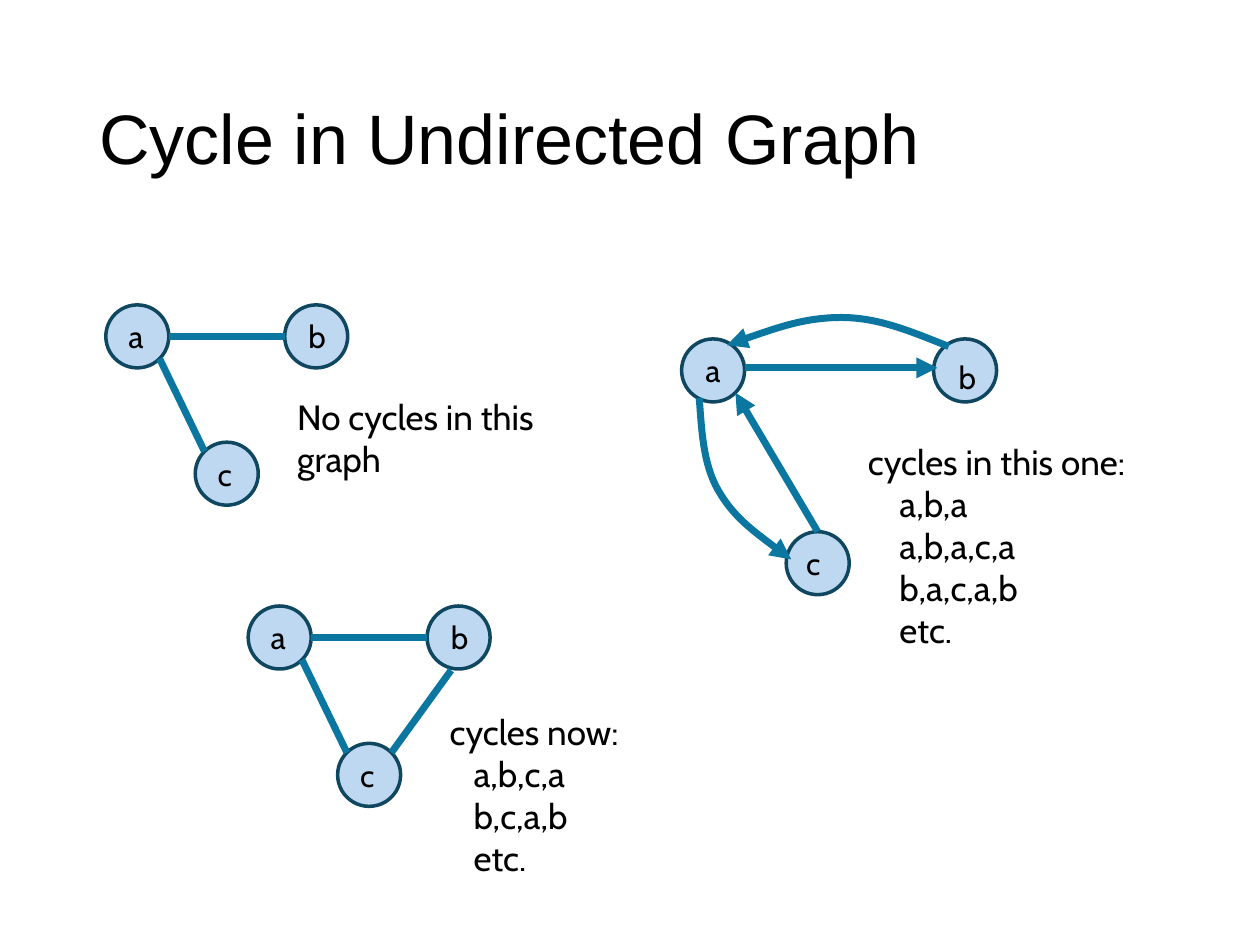
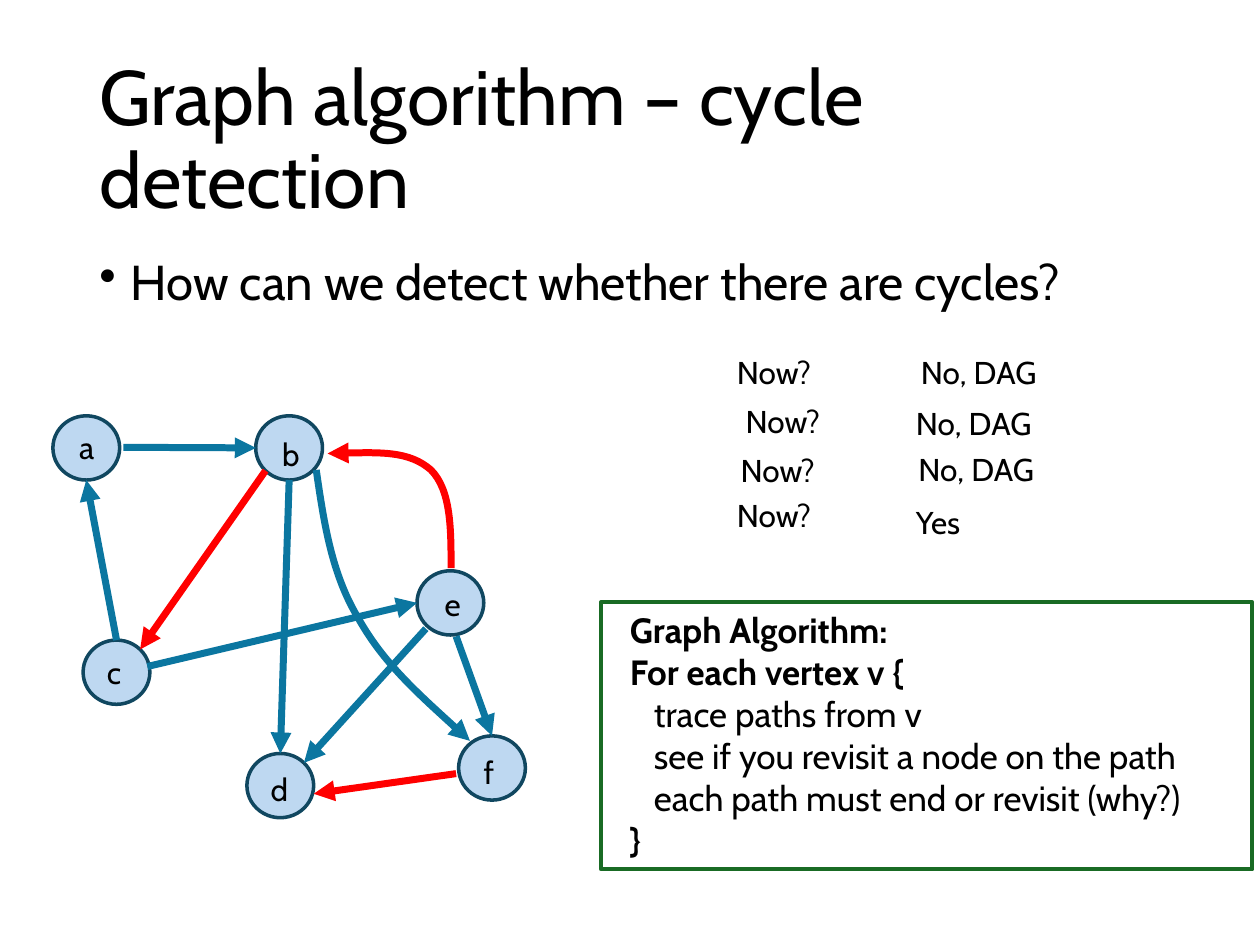
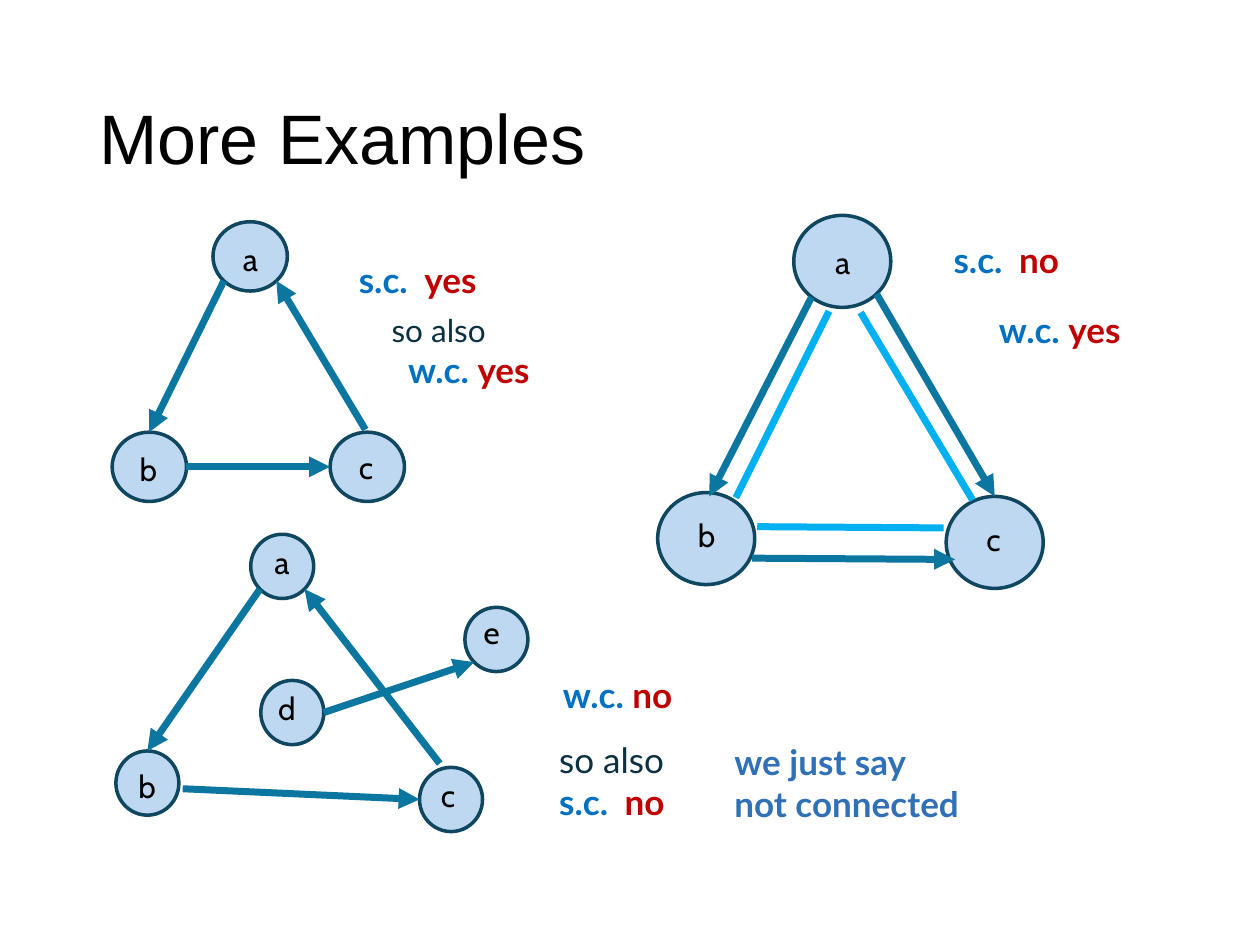
from dataclasses import dataclass

from lxml import etree
from pptx import Presentation
from pptx.dml.color import RGBColor
from pptx.enum.shapes import MSO_CONNECTOR, MSO_SHAPE
from pptx.enum.text import MSO_ANCHOR, MSO_AUTO_SIZE, PP_ALIGN
from pptx.oxml.ns import qn
from pptx.util import Emu, Pt

PX = 9144  # one hundredth of an inch
STRAIGHT = MSO_CONNECTOR.STRAIGHT
OVAL, RECTANGLE = MSO_SHAPE.OVAL, MSO_SHAPE.RECTANGLE
TOP, MIDDLE = MSO_ANCHOR.TOP, MSO_ANCHOR.MIDDLE
GROW, LEFT = MSO_AUTO_SIZE.SHAPE_TO_FIT_TEXT, PP_ALIGN.LEFT


@dataclass(frozen=True)
class Theme:
    black: str = "000000"
    node: str = "71AAE0"
    node_opacity: int = 45000
    outline: str = "104760"
    edge: str = "0B76A0"
    back_edge: str = "FF0000"
    undirected: str = "00B0F0"
    frame: str = "196B24"
    term: str = "0070C0"
    verdict: str = "C00000"
    aside: str = "0B3041"
    remark: str = "2F70B7"
    plain: str = "Arial"
    main: str = "Cabin"
    accent: str = "Lato"
    title: int = 40
    large_title: int = 44
    bullet: int = 28
    body: int = 20
    label: int = 18
    edge_width: int = 4
    outline_width: int = 2
    frame_width: float = 2.25


THEME = Theme()


@dataclass
class Line:
    """One paragraph: spans are (text, colour) pairs; lengths are in px."""
    spans: list
    font: str = THEME.main
    size: int = THEME.body
    bold: bool = False
    indent: int = 0
    tab: int = 0
    bullet: str = ""
    spacing: float = 1.0
    after: int = 0


@dataclass
class Edge:
    """Ends are a node's site, such as "a br", or a point in the graph's box."""
    start: object
    end: object
    colour: str = THEME.edge
    arrow: bool = True


@dataclass
class Curve:
    """A start point followed by the three points of each cubic segment."""
    points: list
    colour: str = THEME.edge


def px(*lengths):
    return [Emu(round(length * PX)) for length in lengths]


def rgb(colour):
    return RGBColor.from_string(colour)


def line(text, **style):
    return Line([(text, THEME.black)], **style)


def write(frame, lines):
    for index, item in enumerate(lines):
        para = frame.paragraphs[0] if index == 0 else frame.add_paragraph()
        para.alignment = LEFT
        para.line_spacing = item.spacing
        if item.after:
            para.space_after = Pt(item.after)
        props = para._p.get_or_add_pPr()
        if item.indent:
            props.set("marL", str(item.indent * PX))
        if item.bullet:
            props.set("indent", str(-item.indent * PX))
            etree.SubElement(props, qn("a:buChar"), char=item.bullet)
        if item.tab:
            tabs = etree.SubElement(props, qn("a:tabLst"))
            etree.SubElement(tabs, qn("a:tab"), pos=str(item.tab * PX), algn="l")
        para.font.name = item.font
        para.font.size = Pt(item.size)
        para.font.bold = item.bold
        if len(item.spans) == 1:
            para.font.color.rgb = rgb(item.spans[0][1])
        for text, colour in item.spans:
            span = para.add_run()
            span.text = text
            if len(item.spans) > 1:
                span.font.color.rgb = rgb(colour)


def add_text(shapes, box, lines, wrap=True, anchor=TOP, grow=True):
    frame = shapes.add_textbox(*px(*box)).text_frame
    frame.word_wrap = wrap
    frame.vertical_anchor = anchor
    if grow:
        frame.auto_size = GROW
    write(frame, lines)


def add_title(page, text, font=THEME.plain, size=THEME.title):
    add_text(page.shapes, (69, 40, 862, 145),
             [line(text, font=font, size=size, spacing=0.9)],
             anchor=MIDDLE, grow=False)


def style_edge(shape, colour, arrow):
    shape.line.color.rgb = rgb(colour)
    shape.line.width = Pt(THEME.edge_width)
    if arrow:
        etree.SubElement(shape.line._get_or_add_ln(), qn("a:tailEnd"), type="triangle")


def add_node(shapes, box):
    node = shapes.add_shape(OVAL, *px(*box))
    node.shadow.inherit = False
    node.fill.solid()
    node.fill.fore_color.rgb = rgb(THEME.node)
    tint = node._element.spPr.find(qn("a:solidFill"))[0]
    etree.SubElement(tint, qn("a:alpha"), val=str(THEME.node_opacity))
    node.line.color.rgb = rgb(THEME.outline)
    node.line.width = Pt(THEME.outline_width)


def add_edge(shapes, start, end, edge):
    link = shapes.add_connector(STRAIGHT, *px(*start, *end))
    style_edge(link, edge.colour, edge.arrow)
    etree.SubElement(link._element.spPr, qn("a:effectLst"))


def add_curve(shapes, points, colour):
    """Draw the points as a freeform, then join each three into a cubic."""
    builder = shapes.build_freeform(*points[0], scale=PX)
    builder.add_line_segments(points[1:], close=False)
    curve = builder.convert_to_shape()
    curve.shadow.inherit = False
    curve.fill.background()
    style_edge(curve, colour, True)
    path = next(curve._element.iter(qn("a:path")))
    steps = path.findall(qn("a:lnTo"))
    for first in range(0, len(steps), 3):
        cubic = etree.SubElement(path, qn("a:cubicBezTo"))
        for step in steps[first:first + 3]:
            cubic.append(step[0])
            path.remove(step)


def site_point(box, site):
    """Point on an ellipse: left, right, top, bottom or a corner such as tl."""
    left, top, width, height = box
    diagonal = 0.5 ** 0.5
    across, down = {
        "left": (-1, 0), "right": (1, 0), "top": (0, -1), "bottom": (0, 1),
        "tl": (-diagonal, -diagonal), "tr": (diagonal, -diagonal),
        "bl": (-diagonal, diagonal), "br": (diagonal, diagonal),
    }[site]
    return left + width / 2 * (1 + across), top + height / 2 * (1 + down)


def add_graph(page, origin, size, nodes, edges, label_width=40):
    """Nodes map a name to its left, top and the offset of its label."""
    shapes = page.shapes.add_group_shape().shapes
    left, top = origin
    boxes = {name: (left + x, top + y, *size) for name, (x, y, _, _) in nodes.items()}

    def locate(end):
        if isinstance(end, str):
            name, site = end.split()
            return site_point(boxes[name], site)
        return left + end[0], top + end[1]

    for name, (x, y, label_x, label_y) in nodes.items():
        add_node(shapes, boxes[name])
        add_text(shapes, (left + x + label_x, top + y + label_y, label_width, 40),
                 [line(name, size=THEME.label)])
    for edge in edges:
        if isinstance(edge, Curve):
            add_curve(shapes, [locate(point) for point in edge.points], edge.colour)
        else:
            add_edge(shapes, locate(edge.start), locate(edge.end), edge)


def cycle_list(heading, cycles, indent):
    return [line(heading)] + [line(cycle, indent=indent) for cycle in cycles]


def undirected_page(page):
    add_title(page, "Cycle in Undirected Graph")
    corner = {"a": (0, 0, 8, 5), "b": (142, 0, 9, 5), "c": (71, 109, 8, 5)}
    tree = [Edge("a right", "b left", arrow=False), Edge("a br", "c tl", arrow=False)]
    closing = Edge((161, 51), "c tr", arrow=False)
    round_node = (50, 50)
    add_graph(page, (84, 242), round_node, corner, tree, 33)
    add_graph(page, (197, 481), round_node, corner, tree + [closing], 33)
    add_graph(
        page, (541, 252), round_node,
        {"a": (0, 17, 9, 5), "b": (200, 17, 10, 10), "c": (83, 170, 6, 5)},
        [Edge((50, 40), (203, 40)),
         Curve([(212, 23), (184, 12), (157, 0), (127, 0), (98, 0), (67, 11), (36, 22)]),
         Edge("c top", "a br"),
         Curve([(14, 64), (16, 90), (17, 116), (29, 137), (41, 158), (64, 175),
                (87, 192)])], 33)
    add_text(page.shapes, (226, 309, 224, 77), [line("No cycles in this graph")])
    add_text(page.shapes, (679, 345, 282, 178), cycle_list(
        "cycles in this one:", ["a,b,a", "a,b,a,c,a", "b,a,c,a,b", "etc."], 25))
    add_text(page.shapes, (347, 559, 269, 145), cycle_list(
        "cycles now:", ["a,b,c,a", "b,c,a,b", "etc."], 19))


def add_algorithm(page, box):
    panel = page.shapes.add_shape(RECTANGLE, *px(*box))
    panel.shadow.inherit = False
    panel.fill.background()
    panel.line.color.rgb = rgb(THEME.frame)
    panel.line.width = Pt(THEME.frame_width)
    frame = panel.text_frame
    frame.word_wrap = True
    frame.vertical_anchor = TOP
    frame.margin_left, = px(23)
    steps = ["trace paths from v", "see if you revisit a node on the path",
             "each path must end or revisit (why?)"]
    write(frame, [line("Graph Algorithm:", bold=True),
                  line("For each vertex v {", bold=True),
                  *[line(step, indent=19) for step in steps],
                  line("}", bold=True, after=6)])


def detection_page(page):
    add_title(page, "Graph algorithm – cycle detection", THEME.main, THEME.large_title)
    add_text(page.shapes, (69, 200, 862, 476),
             [line("How can we detect whether there are cycles?", size=THEME.bullet,
                   indent=25, bullet="•", spacing=0.9)], grow=False)
    add_graph(
        page, (42, 330), (53, 51),
        {"a": (0, 0, 11, 5), "b": (161, 0, 11, 10), "c": (24, 178, 9, 5),
         "d": (154, 268, 9, 8), "e": (289, 123, 12, 6), "f": (322, 254, 10, 9)},
        [Edge((56, 25), "b left"),
         Edge("c top", "a bottom"),
         Curve([(209, 43), (215, 84), (221, 125), (242, 160), (262, 196), (297, 227),
                (331, 258)]),
         Edge((75, 199), "e left"),
         Edge("b bottom", "d top"),
         Edge((320, 175), "f top"),
         Edge((296, 169), "d tr"),
         Curve([(316, 121), (316, 90), (316, 59), (300, 43), (283, 28), (250, 29),
                (218, 30)], THEME.back_edge),
         Edge((320, 284), (207, 300), THEME.back_edge),
         Edge("b bl", "c tr", THEME.back_edge)], 35)
    for left, top in [(575, 275), (582, 314), (578, 353), (575, 389)]:
        add_text(page.shapes, (left, top, 83, 40),
                 [line("Now?", size=THEME.label)], wrap=False)
    for left, top, width, answer in [(721, 275, 113, "No, DAG"), (717, 316, 113, "No, DAG"),
                                     (719, 352, 113, "No, DAG"), (717, 394, 58, "Yes")]:
        add_text(page.shapes, (left, top, width, 40),
                 [line(answer, size=THEME.label)], wrap=False)
    add_algorithm(page, (477, 478, 517, 212))


def strong(verdict):
    return Line([("s.c.\t", THEME.term), (verdict, THEME.verdict)],
                THEME.accent, bold=True, tab=52)


def weak(verdict, indent=0):
    return Line([("w.c. ", THEME.term), (verdict, THEME.verdict)],
                THEME.accent, bold=True, indent=indent)


def so_also(size):
    return Line([("so also", THEME.aside)], THEME.accent, size)


def examples_page(page):
    add_title(page, "More Examples")
    add_graph(
        page, (522, 171), (77, 73),
        {"a": (108, 0, 23, 17), "b": (0, 220, 22, 14), "c": (229, 223, 22, 14)},
        [Edge((122, 65), (41, 223)),
         Edge("a br", "c top"),
         Edge((75, 272), (236, 273)),
         Edge((136, 76), (62, 224), THEME.undirected, False),
         Edge((161, 77), (250, 226), THEME.undirected, False),
         Edge((227, 248), (79, 247), THEME.undirected, False)], 47)
    add_graph(
        page, (89, 176), (59, 55),
        {"a": (80, 0, 14, 10), "b": (0, 167, 12, 9), "c": (173, 167, 13, 8)},
        [Edge("a bl", "b top"), Edge((201, 165), "a br"), Edge("b right", "c left")])
    add_graph(
        page, (92, 424), (50, 51),
        {"a": (107, 0, 9, 2), "b": (0, 172, 8, 8), "c": (241, 185, 7, 2),
         "d": (115, 116, 4, 2), "e": (277, 58, 5, 0)},
        [Edge("a bl", "b top"), Edge((257, 182), "a br"),
         Edge((53, 202), "c left"), Edge("d right", "e bl")])
    remarks = [Line([(text, THEME.remark)], THEME.accent, bold=True)
               for text in ("we just say", "not connected")]
    for box, lines in [
        ((747, 184, 134, 44), [strong("no")]),
        ((783, 240, 134, 44), [weak("yes")]),
        ((275, 200, 134, 44), [strong("yes")]),
        ((301, 242, 149, 74), [so_also(THEME.label), weak("yes", 13)]),
        ((437, 530, 134, 44), [weak("no")]),
        ((434, 581, 134, 77), [so_also(THEME.body), strong("no")]),
        ((573, 583, 256, 77), remarks),
    ]:
        add_text(page.shapes, box, lines)


def main():
    deck = Presentation()
    deck.slide_width, deck.slide_height = px(1000, 750)
    blank = deck.slide_layouts[6]
    for build in (undirected_page, detection_page, examples_page):
        build(deck.slides.add_slide(blank))
    deck.save("out.pptx")


if __name__ == "__main__":
    main()
